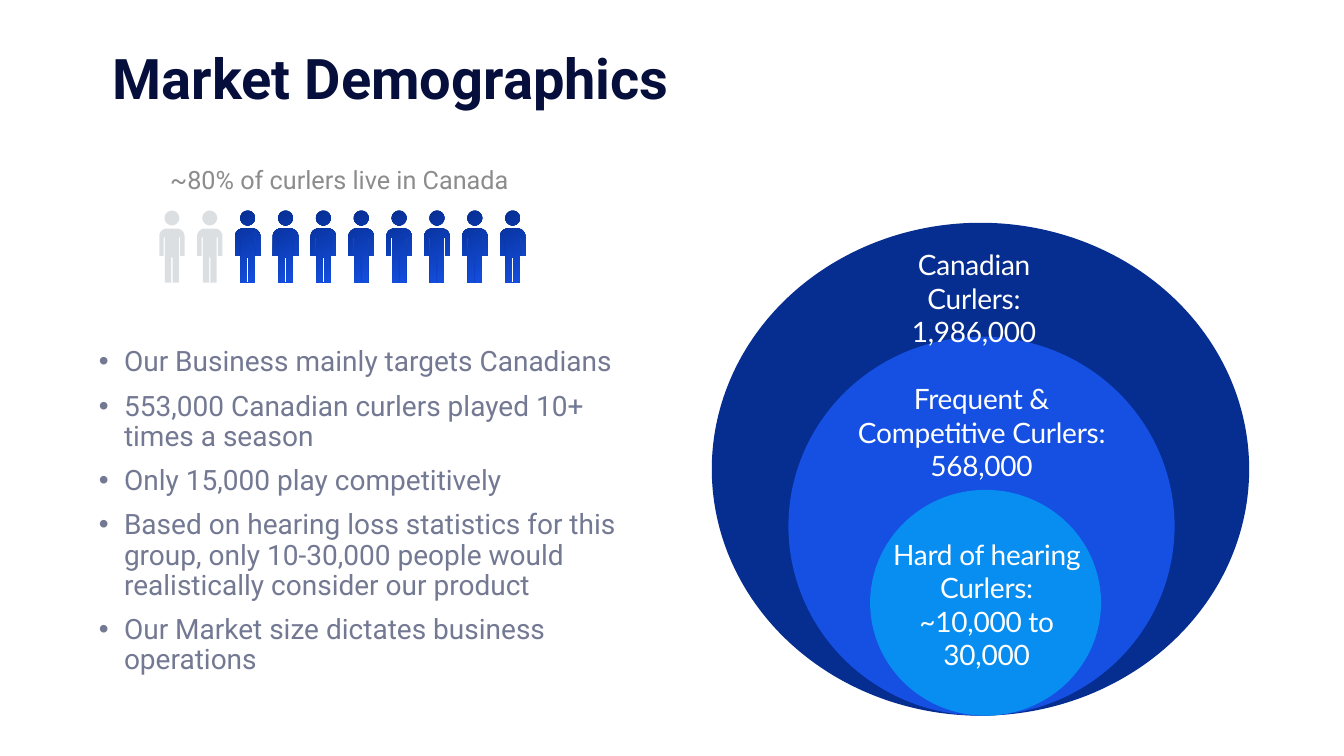
import math

from lxml import etree
from pptx import Presentation
from pptx.dml.color import RGBColor
from pptx.enum.shapes import MSO_SHAPE
from pptx.enum.text import MSO_ANCHOR, MSO_AUTO_SIZE, PP_ALIGN
from pptx.oxml.ns import qn
from pptx.util import Inches, Pt

OVAL = MSO_SHAPE.OVAL
TOP, MIDDLE = MSO_ANCHOR.TOP, MSO_ANCHOR.MIDDLE
LEFT, CENTER = PP_ALIGN.LEFT, PP_ALIGN.CENTER
NO_AUTOSIZE = MSO_AUTO_SIZE.NONE

# Content
TITLE = "Market Demographics"
CAPTION = "~80% of curlers live in Canada"
BULLETS = [
    "Our Business mainly targets Canadians",
    "553,000 Canadian curlers played 10+ times a season",
    "Only 15,000 play competitively",
    "Based on hearing loss statistics for this group, only 10-30,000 people "
    "would realistically consider our product",
    "Our Market size dictates business operations",
]
# Nested markets: colour, ellipse (left, width, height), label box, label lines
MARKETS = [
    ("navy", (7.06, 5.33, 4.89), (8.59, 2.57, 2.14, 0.77),
     ["Canadian Curlers:", "1,986,000"]),
    ("blue", (7.82, 3.83, 3.76), (8.27, 3.9, 2.93, 0.77),
     ["Frequent & Competitive Curlers: 568,000"]),
    ("sky", (8.63, 2.29, 2.24), (8.59, 5.44, 2.39, 1.11),
     ["Hard of hearing Curlers:", "~10,000 to 30,000"]),
]
PEOPLE, PEOPLE_ABROAD = 10, 2

# Look and layout, in inches
COLORS = {"title": "060E3B", "body": "747993", "caption": "8C8C8C",
          "navy": "062D90", "blue": "1550E3", "sky": "088DF0",
          "pale": "DCDFE1", "white": "FFFFFF"}
SLIDE_WIDTH, SLIDE_HEIGHT = 13.33, 7.5
MARKETS_BOTTOM = 7.1
PEOPLE_LEFT, PEOPLE_TOP, PEOPLE_PITCH = 1.58, 2.09, 0.3755
WIDE_INSETS, NORMAL_INSETS = (0.2, 0.1), (0.1, 0.05)
UNITS_PER_INCH = 1000


def color(name):
    return RGBColor.from_string(COLORS[name])


def place(shape, box):
    shape.left, shape.top, shape.width, shape.height = map(Inches, box)


def write(shape, lines, font, size, color_name, align=LEFT, anchor=TOP,
          insets=NORMAL_INSETS, spacing=None, bold=False, bullet=False,
          tracking=None):
    frame = shape.text_frame
    frame.text = "\n".join(lines)
    frame.word_wrap = True
    frame.auto_size = NO_AUTOSIZE
    frame.vertical_anchor = anchor
    frame.margin_left = frame.margin_right = Inches(insets[0])
    frame.margin_top = frame.margin_bottom = Inches(insets[1])
    for index, paragraph in enumerate(frame.paragraphs):
        paragraph.alignment = align
        paragraph.line_spacing = spacing
        if bullet:
            paragraph.space_before = Pt(10 if index else 0)
            properties = paragraph._p.get_or_add_pPr()
            properties.set("marL", str(Inches(0.25)))
            properties.set("indent", str(Inches(-0.25)))
            etree.SubElement(properties, qn("a:buFont")).set("typeface", "Arial")
            etree.SubElement(properties, qn("a:buChar")).set("char", "•")
        for run in paragraph.runs:
            run.font.name, run.font.size = font, Pt(size)
            run.font.bold = bold
            run.font.color.rgb = color(color_name)
            if tracking:
                run._r.get_or_add_rPr().set("spc", str(tracking))


def arc(center_x, center_y, radius, start, end, steps):
    angles = [math.radians(start + (end - start) * step / steps)
              for step in range(steps + 1)]
    return [(center_x + radius * math.cos(angle),
             center_y + radius * math.sin(angle)) for angle in angles]


def person_outlines():
    """Body, leg gap and head, in thousandths of an inch."""
    right_arm = [(250, 450), (206, 450), (206, 270), (200, 260), (194, 270),
                 (194, 715)]
    left_arm = [(250 - x, y) for x, y in reversed(right_arm)]
    body = (arc(175, 253, 75, -90, 0, 8) + right_arm + left_arm
            + arc(75, 253, 75, 180, 270, 8))
    leg_gap = [(125, 460), (118, 467), (118, 715), (132, 715), (132, 467)]
    head = arc(125, 73, 73, 0, 360, 36)
    return [body, leg_gap, head]


def add_person(slide, left, top, outlines, abroad):
    builder = slide.shapes.build_freeform(*outlines[0][0],
                                          scale=Inches(1) / UNITS_PER_INCH)
    for index, outline in enumerate(outlines):
        if index:
            builder.move_to(*outline[0])
        builder.add_line_segments(outline[1:], close=True)
    person = builder.convert_to_shape(Inches(left), Inches(top))
    person.shadow.inherit = False
    person.line.fill.background()
    if abroad:
        person.fill.solid()
        person.fill.fore_color.rgb = color("pale")
    else:
        person.fill.gradient()
        person.fill.gradient_angle = 300
        for stop, name in zip(person.fill.gradient_stops, ("navy", "blue")):
            stop.color.rgb = color(name)


def main():
    presentation = Presentation()
    presentation.slide_width = Inches(SLIDE_WIDTH)
    presentation.slide_height = Inches(SLIDE_HEIGHT)
    slide = presentation.slides.add_slide(presentation.slide_layouts[5])
    shapes = slide.shapes

    # Title and bullets
    place(shapes.title, (0.92, 0.4, 11.5, 0.82))
    write(shapes.title, [TITLE], "Roboto", 40, "title", anchor=MIDDLE,
          insets=WIDE_INSETS, spacing=0.9, bold=True)
    bullets = shapes.add_textbox(*map(Inches, (0.78, 3.35, 5.89, 3.64)))
    write(bullets, BULLETS, "Roboto", 20, "body", insets=WIDE_INSETS,
          spacing=0.9, bullet=True)

    # Nested ellipses share a bottom edge
    for name, (left, width, height), _, _ in MARKETS:
        ellipse = shapes.add_shape(OVAL, *map(
            Inches, (left, MARKETS_BOTTOM - height, width, height)))
        ellipse.shadow.inherit = False
        ellipse.fill.solid()
        ellipse.fill.fore_color.rgb = color(name)
        ellipse.line.fill.background()
    for _, _, box, lines in MARKETS:
        label = shapes.add_textbox(*map(Inches, box))
        write(label, lines, "Lato", 20, "white", align=CENTER, anchor=MIDDLE,
              tracking=-20)

    # Row of people with its caption
    outlines = person_outlines()
    for index in range(PEOPLE):
        add_person(slide, PEOPLE_LEFT + index * PEOPLE_PITCH, PEOPLE_TOP,
                   outlines, abroad=index < PEOPLE_ABROAD)
    caption = shapes.add_textbox(*map(Inches, (1.59, 1.6, 3.74, 0.38)))
    write(caption, [CAPTION], "Roboto", 18, "caption", spacing=Pt(20))

    presentation.save("out.pptx")


if __name__ == "__main__":
    main()
